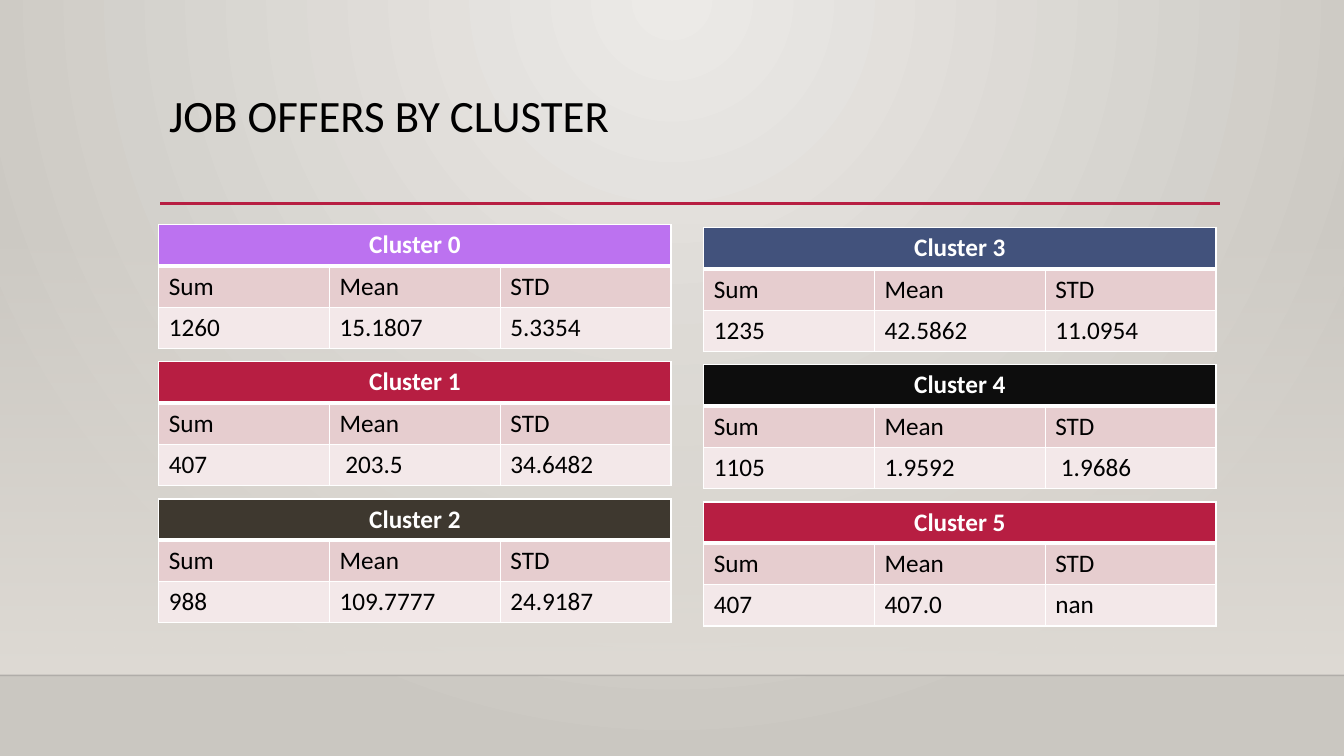
from dataclasses import dataclass

from lxml import etree
from pptx import Presentation
from pptx.dml.color import RGBColor
from pptx.enum.shapes import MSO_CONNECTOR, MSO_SHAPE
from pptx.enum.text import PP_ALIGN
from pptx.oxml.ns import qn
from pptx.util import Inches, Pt

STRAIGHT = MSO_CONNECTOR.STRAIGHT
RECTANGLE = MSO_SHAPE.RECTANGLE
CENTER, LEFT = PP_ALIGN.CENTER, PP_ALIGN.LEFT


@dataclass(frozen=True)
class Theme:
    font: str = "Calibri"
    title_size: int = 32
    table_size: int = 18
    ink: str = "000000"
    white: str = "FFFFFF"
    accent: str = "B71E42"
    floor_line: str = "000001"
    back_light: str = "ECEAE7"
    back_dark: str = "CAC7C1"
    wall: str = "DFDBD5"
    label_fill: str = "E6CDCF"
    value_fill: str = "F3E8E9"


THEME = Theme()
WIDTH, HEIGHT = 13.33, 7.5
FLOOR_TOP = 6.7
TABLE_WIDTH, ROW_HEIGHT, TABLE_PITCH = 5.08, 0.41, 1.36
LABELS = ("Sum", "Mean", "STD")

# Each column of tables: left, top, then name, header colour and values
COLUMNS = (
    (1.575, 2.23, (
        ("Cluster 0", "BC72F0", ("1260", "15.1807", "5.3354")),
        ("Cluster 1", THEME.accent, ("407", " 203.5", "34.6482")),
        ("Cluster 2", "3E382F", ("988", "109.7777", "24.9187")),
    )),
    (6.98, 2.26, (
        ("Cluster 3", "42527C", ("1235", "42.5862", "11.0954")),
        ("Cluster 4", "0D0D0D", ("1105", "1.9592", " 1.9686")),
        ("Cluster 5", THEME.accent, ("407", "407.0", "nan")),
    )),
)


def rgb(code):
    return RGBColor.from_string(code)


def add_child(parent, tag, **attributes):
    child = etree.SubElement(parent, qn(tag))
    for name, value in attributes.items():
        child.set(name, str(value))
    return child


def set_gradient(fill, owner, stops):
    """Give a fill its (position, colour, opacity) stops; return the element."""
    fill.gradient()
    gradient = next(owner.iter(qn("a:gradFill")))
    for child in list(gradient):
        gradient.remove(child)
    stop_list = add_child(gradient, "a:gsLst")
    for position, code, opacity in stops:
        stop = add_child(stop_list, "a:gs", pos=position * 1000)
        color = add_child(stop, "a:srgbClr", val=code)
        if opacity < 100:
            add_child(color, "a:alpha", val=opacity * 1000)
    return gradient


def add_rule(page, left, top, width, code, weight, opacity=100):
    rule = page.shapes.add_connector(
        STRAIGHT, Inches(left), Inches(top), Inches(left + width), Inches(top))
    rule.line.color.rgb = rgb(code)
    rule.line.width = Pt(weight)
    if opacity < 100:
        color = next(rule.element.iter(qn("a:srgbClr")))
        add_child(color, "a:alpha", val=opacity * 1000)
    add_child(rule.element.spPr, "a:effectLst")


def style_para(para, size, code, bold=False, align=LEFT):
    para.alignment = align
    para.font.name = THEME.font
    para.font.size = Pt(size)
    para.font.bold = bold
    para.font.color.rgb = rgb(code)


def add_backdrop(page):
    # Round glow from the top centre
    glow = set_gradient(page.background.fill, page.element,
                        ((0, THEME.back_light, 100), (100, THEME.back_dark, 100)))
    circle = add_child(glow, "a:path", path="circle")
    add_child(circle, "a:fillToRect", l=43000, t=0, r=43000, b=100000)

    # Wall fading in down to the floor line
    wall_top = 2.21
    wall = page.shapes.add_shape(RECTANGLE, 0, Inches(wall_top),
                                 Inches(WIDTH), Inches(FLOOR_TOP - wall_top))
    wall.shadow.inherit = False
    wall.line.fill.background()
    fade = set_gradient(wall.fill, wall.element,
                        ((0, THEME.wall, 0), (100, THEME.wall, 100)))
    add_child(fade, "a:lin", ang=90 * 60000, scaled=0)
    add_rule(page, 0, FLOOR_TOP, WIDTH, THEME.floor_line, 1, opacity=20)


def add_title(page, left, top, width, height):
    add_rule(page, left + 0.01, top + 1.14, width, THEME.accent, 2.5)
    box = page.shapes.add_textbox(Inches(left), Inches(top), Inches(width), Inches(height))
    box.text_frame.word_wrap = True
    para = box.text_frame.paragraphs[0]
    para.text = "JOB OFFERS BY CLUSTER"
    para.line_spacing = 0.9
    style_para(para, THEME.title_size, THEME.ink)


def set_borders(cell, top, bottom):
    properties = cell._tc.get_or_add_tcPr()
    weights = (("a:lnL", 1), ("a:lnR", 1), ("a:lnT", top), ("a:lnB", bottom))
    for tag, weight in weights:
        border = add_child(properties, tag, w=Pt(weight))
        add_child(add_child(border, "a:solidFill"), "a:srgbClr", val=THEME.white)


def add_cluster_table(page, left, top, name, header_fill, values):
    rows = ((name, "", ""), LABELS, values)
    fills = (header_fill, THEME.label_fill, THEME.value_fill)
    frame = page.shapes.add_table(len(rows), len(LABELS), Inches(left), Inches(top),
                                  Inches(TABLE_WIDTH), Inches(ROW_HEIGHT * len(rows)))
    table = frame.table
    table.first_row = table.horz_banding = False
    for row_index, (texts, fill) in enumerate(zip(rows, fills)):
        table.rows[row_index].height = Inches(ROW_HEIGHT)
        is_header = row_index == 0
        for column_index, text in enumerate(texts):
            cell = table.cell(row_index, column_index)
            # The thick rule lies between header and labels
            set_borders(cell, top=3 if row_index == 1 else 1, bottom=3 if is_header else 1)
            cell.fill.solid()
            cell.fill.fore_color.rgb = rgb(fill)
            cell.text = text
            style_para(cell.text_frame.paragraphs[0], THEME.table_size,
                       THEME.white if is_header else THEME.ink,
                       bold=is_header, align=CENTER if is_header else LEFT)
    table.cell(0, 0).merge(table.cell(0, len(LABELS) - 1))


def add_table_column(page, left, top, clusters):
    for index, cluster in enumerate(clusters):
        add_cluster_table(page, left, top + index * TABLE_PITCH, *cluster)


def main():
    deck = Presentation()
    deck.slide_width, deck.slide_height = Inches(WIDTH), Inches(HEIGHT)
    page = deck.slides.add_slide(deck.slide_layouts[6])
    add_backdrop(page)
    add_title(page, 1.58, 0.88, 10.51, 1.16)
    for column in COLUMNS:
        add_table_column(page, *column)
    deck.save("out.pptx")


if __name__ == "__main__":
    main()
